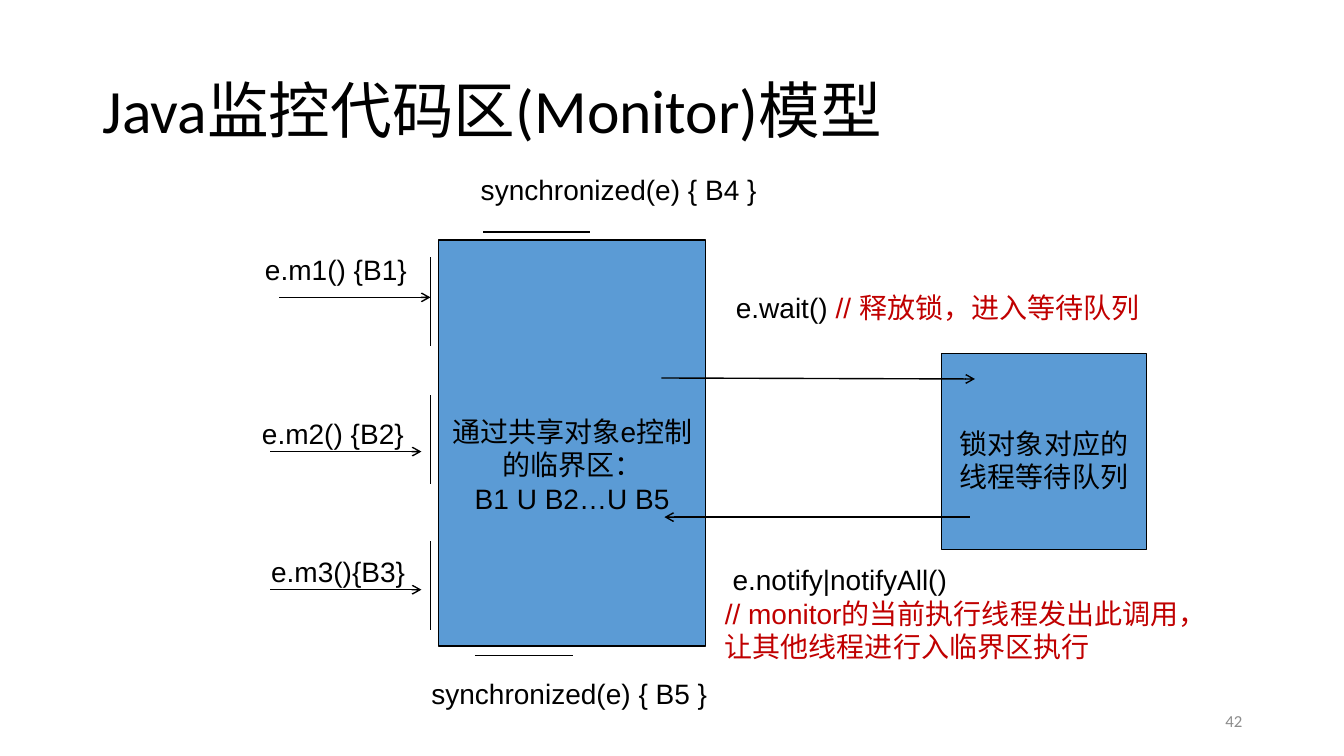
from lxml.etree import SubElement
from pptx import Presentation
from pptx.dml.color import RGBColor as Rgb
from pptx.enum.shapes import MSO_CONNECTOR as Conn, MSO_SHAPE as Kind
from pptx.enum.text import MSO_ANCHOR as Anchor, PP_ALIGN as Align
from pptx.oxml.ns import qn
from pptx.util import Inches, Pt

# Content: each paragraph is a list of (text, color name) runs
TITLE = [[("Java监控代码区(Monitor)模型", "ink")]]
PAGE = [[("42", "gray")]]
BOXES = [  # place, top inset, paragraphs
    ((4.35, 2.38, 2.65, 4.03), 1.73,
     [[("通过共享对象e控制的临界区：", "ink")], [("B1 U B2…U B5", "ink")]]),
    ((9.34, 3.51, 2.03, 1.94), 0.72, [[("锁对象对应的线程等待队列", "ink")]]),
]
LABELS = [
    ((2.53, 2.46, 1.83, 0.45), [[("e.m1() {B1}", "ink")]]),
    ((2.5, 4.08, 1.83, 0.45), [[("e.m2() {B2}", "ink")]]),
    ((2.59, 5.45, 1.74, 0.45), [[("e.m3(){B3}", "ink")]]),
    ((4.67, 1.66, 3.34, 0.45), [[("synchronized(e) { B4 }", "ink")]]),
    ((4.18, 6.66, 3.34, 0.45), [[("synchronized(e) { B5 }", "ink")]]),
    ((7.2, 2.83, 4.7, 0.44),
     [[("e.wait() ", "ink"), ("// 释放锁，进入等待队列", "red")]]),
    ((7.09, 5.53, 4.7, 1.11),
     [[(" e.notify|notifyAll()", "ink")],
      [("// monitor的当前执行线程发出此调用，让其他线程进行入临界区执行", "red")]]),
]
GATE_X, GATE_H, GATES = 4.27, 0.88, (2.55, 3.92, 5.37)
BARS = [(5.85, 2.3, 4.79, 2.3), (4.71, 6.5, 5.68, 6.5)]
CALL_W, CALLS = 1.5, [(2.77, 2.95), (2.68, 4.48), (2.68, 5.85)]
MOVES = [(6.56, 3.75, 9.67, 3.76), (9.62, 5.13, 6.59, 5.13)]

THEME = {
    "ink": Rgb(0, 0, 0), "red": Rgb(0xC0, 0, 0), "gray": Rgb(0x8C, 0x8C, 0x8C),
    "blue": Rgb(0x5B, 0x9B, 0xD5),
    "head": {"name": "Calibri", "size": Pt(44)},
    "body": {"name": "Arial", "size": Pt(20)},
    "foot": {"name": "Calibri", "size": Pt(12)},
    "line": Pt(1),
}


def assign(item, values):
    for key, value in values.items():
        setattr(item, key, value)


def write(shape, paras, style="body", frame=None, para=None):
    text = shape.text_frame
    assign(text, {"word_wrap": True, "vertical_anchor": Anchor.TOP, **(frame or {})})
    for i, runs in enumerate(paras):
        p = text.paragraphs[0] if i == 0 else text.add_paragraph()
        assign(p, {"alignment": Align.LEFT, **(para or {})})
        for words, color in runs:
            run = p.add_run()
            run.text = words
            assign(run.font, THEME[style])
            run.font.color.rgb = THEME[color]


def label(slide, place, paras, *style):
    write(slide.shapes.add_textbox(*map(Inches, place)), paras, *style)


def box(slide, place, inset, paras):
    shape = slide.shapes.add_shape(Kind.RECTANGLE, *map(Inches, place))
    shape.shadow.inherit = False
    shape.fill.solid()
    shape.fill.fore_color.rgb = THEME["blue"]
    shape.line.color.rgb = THEME["ink"]
    shape.line.width = THEME["line"]
    write(shape, paras, "body", {"margin_top": Inches(inset)},
          {"alignment": Align.CENTER})


def line(slide, ends, arrow=False):
    link = slide.shapes.add_connector(Conn.STRAIGHT, *map(Inches, ends))
    link.line.color.rgb = THEME["ink"]
    link.line.width = THEME["line"]
    if arrow:
        SubElement(link.line._get_or_add_ln(), qn("a:tailEnd"), type="arrow")
    SubElement(link._element.spPr, qn("a:effectLst"))


def main():
    deck = Presentation()
    assign(deck, {"slide_width": Inches(13.33), "slide_height": Inches(7.5)})
    slide = deck.slides.add_slide(deck.slide_layouts[6])

    # Title
    middle = {"vertical_anchor": Anchor.MIDDLE}
    label(slide, (0.92, 0.4, 11.5, 1.45), TITLE, "head", middle,
          {"line_spacing": 0.9})

    # Critical section and wait queue
    for place, inset, paras in BOXES:
        box(slide, place, inset, paras)

    # Entry gates and calls
    for y in GATES:
        line(slide, (GATE_X, y, GATE_X, y + GATE_H))
    for ends in BARS:
        line(slide, ends)
    for place, paras in LABELS:
        label(slide, place, paras)
    for x, y in CALLS:
        line(slide, (x, y, x + CALL_W, y), True)
    for ends in MOVES:
        line(slide, ends, True)

    # Page number
    label(slide, (9.42, 6.95, 3, 0.4), PAGE, "foot", middle,
          {"alignment": Align.RIGHT})
    deck.save("out.pptx")


if __name__ == "__main__":
    main()
